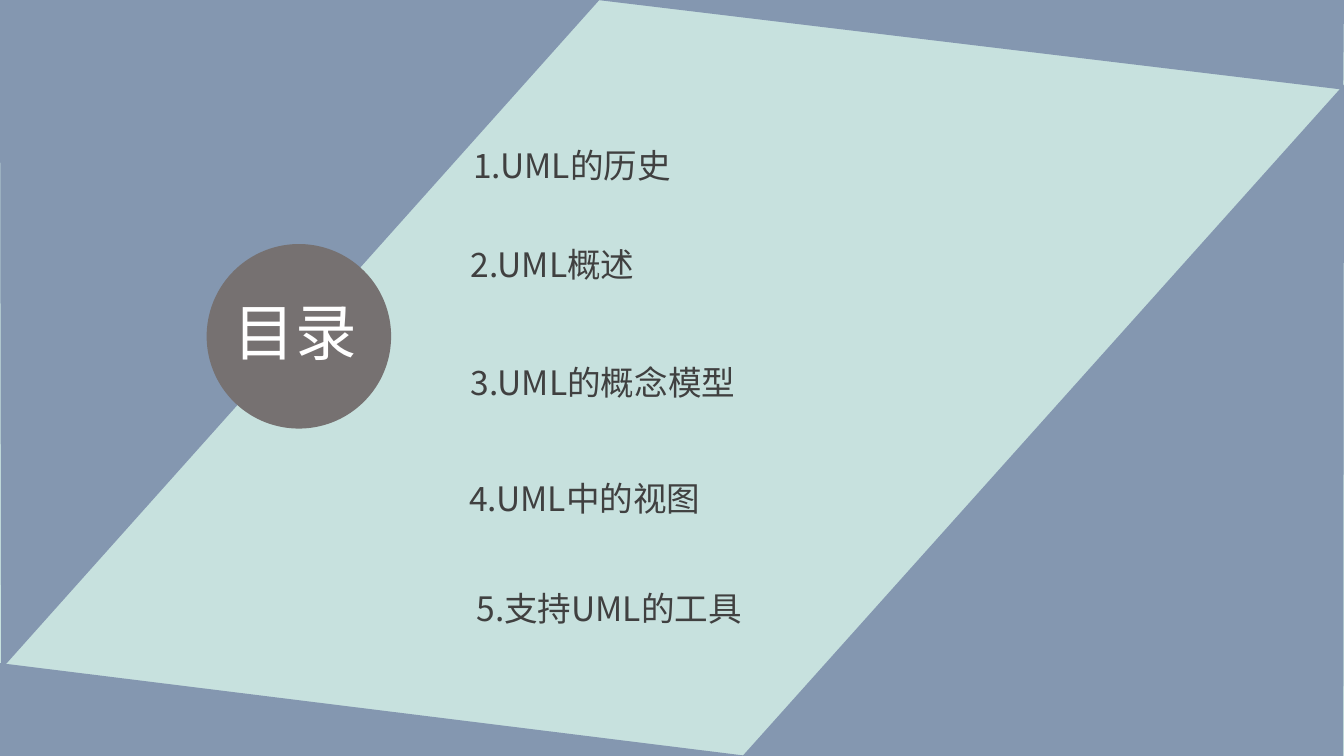
"""Build the contents slide of a UML talk."""
from lxml.etree import SubElement
from pptx import Presentation
from pptx.dml.color import RGBColor
from pptx.enum.shapes import MSO_SHAPE
from pptx.oxml.ns import qn
from pptx.util import Cm, Pt

MINT = RGBColor(0xC7, 0xE1, 0xDE)
BLUE = RGBColor(0x84, 0x97, 0xB0)
GREY = RGBColor(0x76, 0x71, 0x71)
DARK = RGBColor(0x40, 0x40, 0x40)
WHITE = RGBColor(0xFF, 0xFF, 0xFF)
FONT = "Noto Sans CJK SC"

deck = Presentation()
deck.slide_width, deck.slide_height = Cm(33.88), Cm(19.05)
page = deck.slides.add_slide(deck.slide_layouts[6])
page.background.fill.solid()
page.background.fill.fore_color.rgb = MINT


def paint(shape, color):
    shape.shadow.inherit = False
    shape.fill.solid()
    shape.fill.fore_color.rgb = color
    shape.line.fill.background()


def add_text(text, *, left, top, width, height, size, color):
    box = page.shapes.add_textbox(Cm(left), Cm(top), Cm(width), Cm(height))
    box.text_frame.word_wrap = True
    span = box.text_frame.paragraphs[0].add_run()
    span.text = text
    span.font.size = Pt(size)
    span.font.name = FONT
    span.font.color.rgb = color
    SubElement(span.font._element, qn("a:ea"), typeface=FONT)


corners = [
    [(0, 0), (15.11, 0), (0.03, 16.87)],
    [(33.86, 19.05), (18.72, 19.05), (33.88, 2.13)],
    [(15.06, 0), (33.86, 2.26), (33.88, 0)],
    [(18.85, 19.05), (0, 16.71), (0, 19.05)],
]
for corner in corners:
    start, *others = [(Cm(x), Cm(y)) for x, y in corner]
    outline = page.shapes.build_freeform(*start)
    outline.add_line_segments(others, close=True)
    paint(outline.convert_to_shape(), BLUE)

circle = page.shapes.add_shape(MSO_SHAPE.OVAL, Cm(5.21), Cm(6.15), Cm(4.65), Cm(4.65))
paint(circle, GREY)
add_text("目录", left=5.64, top=7.29, width=3.78, height=2.13, size=44, color=WHITE)

topics = [
    ("1.UML的历史", 11.68, 3.53),
    ("2.UML概述", 11.61, 6.02),
    ("3.UML的概念模型", 11.61, 8.99),
    ("4.UML中的视图", 11.58, 11.91),
    ("5.支持UML的工具", 11.76, 14.68),
]
for topic, left, top in topics:
    add_text(topic, left=left, top=top, width=9.63, height=1.27, size=24, color=DARK)

deck.save("out.pptx")
